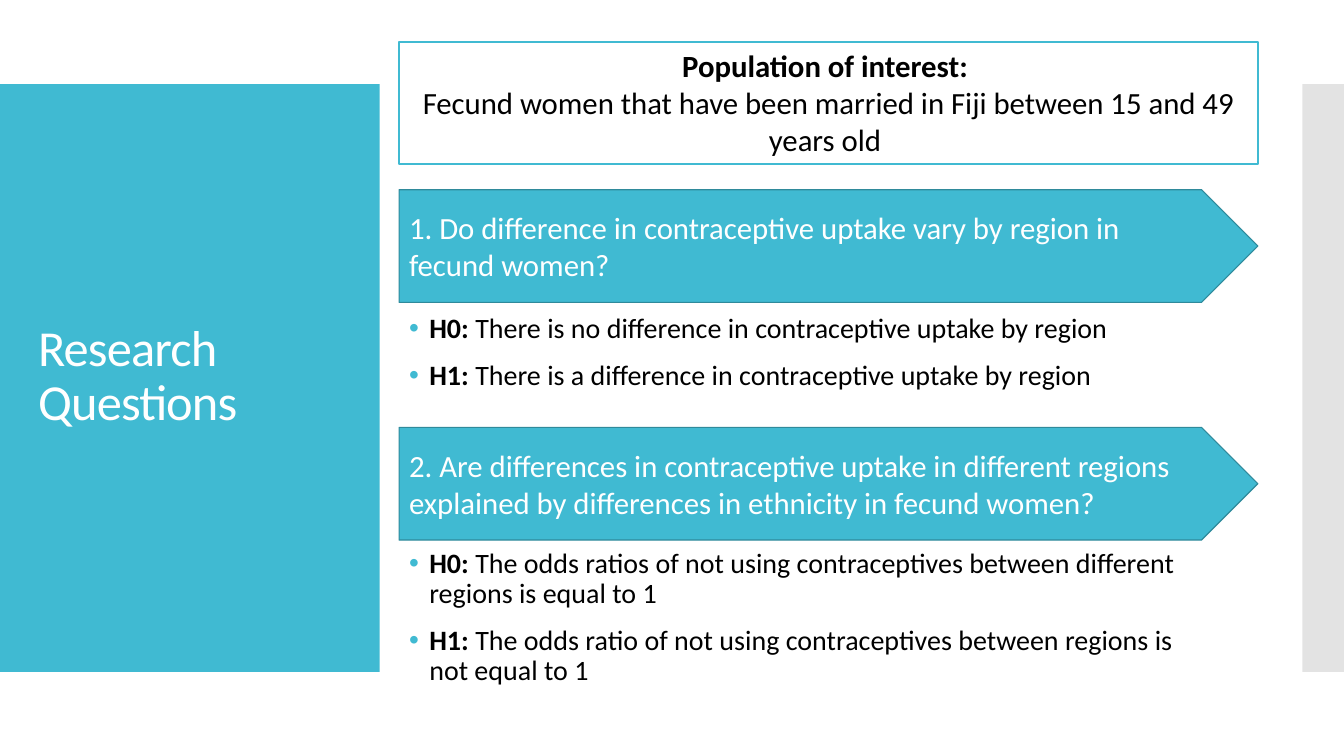
from lxml import etree
from pptx import Presentation
from pptx.dml.color import RGBColor
from pptx.enum.shapes import MSO_SHAPE
from pptx.enum.text import MSO_ANCHOR, PP_ALIGN
from pptx.oxml.ns import qn
from pptx.util import Cm, Pt

RECTANGLE, PENTAGON = MSO_SHAPE.RECTANGLE, MSO_SHAPE.PENTAGON
TOP, MIDDLE = MSO_ANCHOR.TOP, MSO_ANCHOR.MIDDLE
LEFT, CENTER = PP_ALIGN.LEFT, PP_ALIGN.CENTER

COLORS = {
    "accent": "40BAD2",
    "outline": "2F8A9B",
    "gray": "C8C8C8",
    "white": "FFFFFF",
    "black": "000000",
}


class SlideBuilder:
    font = "Calibri"

    def __init__(self, slide):
        self.slide = slide

    def color(self, name):
        return RGBColor.from_string(COLORS[name])

    def panel(self, kind, box, fill, line=None, width=1, alpha=None):
        shape = self.slide.shapes.add_shape(kind, *map(Cm, box))
        shape.shadow.inherit = False
        shape.fill.solid()
        shape.fill.fore_color.rgb = self.color(fill)
        if alpha:
            fill_color = shape.element.spPr.find(f"{qn('a:solidFill')}/{qn('a:srgbClr')}")
            etree.SubElement(fill_color, qn("a:alpha"), val=str(alpha * 1000))
        if line:
            shape.line.color.rgb = self.color(line)
            shape.line.width = Pt(width)
        else:
            shape.line.fill.background()
        return shape

    def text_box(self, box):
        return self.slide.shapes.add_textbox(*map(Cm, box))

    def add_text(self, shape, paragraphs, size, color, anchor=MIDDLE, align=LEFT):
        """Each paragraph is a list of (text, bold) runs."""
        frame = shape.text_frame
        frame.word_wrap = True
        frame.vertical_anchor = anchor
        for index, runs in enumerate(paragraphs):
            paragraph = frame.add_paragraph() if index else frame.paragraphs[0]
            paragraph.alignment = align
            paragraph.font.name = self.font
            paragraph.font.size = Pt(size)
            paragraph.font.color.rgb = self.color(color)
            for text, bold in runs:
                run = paragraph.add_run()
                run.text = text
                run.font.bold = bold
        return frame.paragraphs

    def title(self, box, text):
        paragraph, = self.add_text(self.text_box(box), [[(text, False)]], 36, "white")
        paragraph.line_spacing = 0.9
        paragraph.runs[0].font._element.set("spc", "-60")

    def hypotheses(self, box, statements):
        rows = [[(f"H{number}:", True), (f"\u00a0{statement}", False)]
                for number, statement in enumerate(statements)]
        for paragraph in self.add_text(self.text_box(box), rows, 20, "black"):
            paragraph.line_spacing = 0.9
            paragraph.space_before = Pt(12)
            self.bullet(paragraph)

    def bullet(self, paragraph):
        properties = paragraph._p.get_or_add_pPr()
        indent = Cm(0.51)
        properties.set("marL", str(int(indent)))
        properties.set("indent", str(-int(indent)))
        bullet_color = etree.Element(qn("a:buClr"))
        etree.SubElement(bullet_color, qn("a:srgbClr"), val=COLORS["accent"])
        bullet_font = etree.Element(qn("a:buFont"), typeface="Arial")
        bullet_char = etree.Element(qn("a:buChar"), char="•")
        # Bullet settings belong just before the default run properties
        defaults = properties.find(qn("a:defRPr"))
        for element in (bullet_color, bullet_font, bullet_char):
            defaults.addprevious(element)


presentation = Presentation()
presentation.slide_width = Cm(33.87)
presentation.slide_height = Cm(19.05)
slide = presentation.slides.add_slide(presentation.slide_layouts[6])
builder = SlideBuilder(slide)

# Side panels and title
PANEL_TOP, PANEL_HEIGHT = 2.12, 14.81
builder.panel(RECTANGLE, (0, PANEL_TOP, 9.57, PANEL_HEIGHT), "accent")
builder.panel(RECTANGLE, (32.82, PANEL_TOP, 1.05, PANEL_HEIGHT), "gray", alpha=50)
builder.title((0.71, 3.12, 8.18, 12.78), "Research Questions")

# Population of interest
CONTENT_LEFT, CONTENT_WIDTH = 10.06, 21.64
population = builder.panel(RECTANGLE, (CONTENT_LEFT, 1.06, CONTENT_WIDTH, 3.07),
                           "white", "accent")
builder.add_text(population, [
    [("Population of interest:\u00a0", True)],
    [("Fecund women that have been married in Fiji between "
      "15\u00a0and 49 years old\u00a0", False)],
], 22, "black", TOP, CENTER)

# Research questions: arrow top, question, hypotheses top and height, H0 and H1
QUESTIONS = [
    (4.78, "1. Do difference in contraceptive uptake vary by region in fecund\u00a0women?",
     7.26, 3.25,
     ["There is no difference in contraceptive uptake by region",
      "There is a difference in contraceptive uptake by region"]),
    (10.77, "2. Are differences in contraceptive uptake in\u00a0different regions "
     "explained\u00a0by\u00a0differences in ethnicity in fecund women?",
     13.64, 3.86,
     ["The odds ratios of not using contraceptives between different "
      "regions is equal to 1",
      "The odds ratio of not using contraceptives between regions is "
      "not equal to 1"]),
]
for arrow_top, question, list_top, list_height, statements in QUESTIONS:
    arrow = builder.panel(PENTAGON, (CONTENT_LEFT, arrow_top, CONTENT_WIDTH, 2.84),
                          "accent", "outline", 0.85)
    builder.add_text(arrow, [[(question, False)]], 22, "white")
    builder.hypotheses((CONTENT_LEFT, list_top, 20.32, list_height), statements)

presentation.save("out.pptx")
